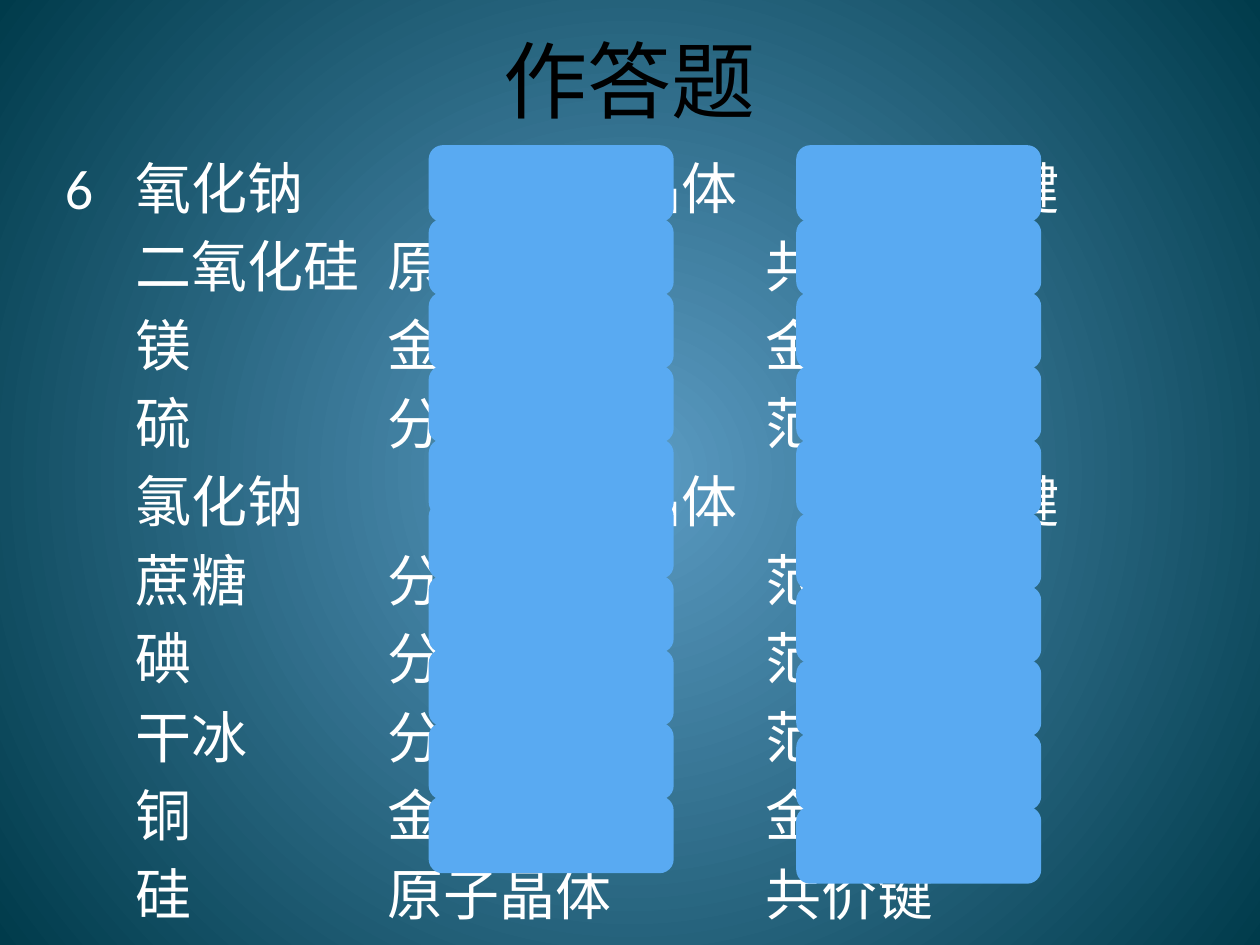
from lxml import etree
from pptx import Presentation
from pptx.dml.color import RGBColor
from pptx.enum.shapes import MSO_SHAPE
from pptx.enum.text import MSO_ANCHOR, PP_ALIGN
from pptx.oxml import parse_xml
from pptx.oxml.ns import nsdecls
from pptx.util import Emu, Pt

ROUNDED = MSO_SHAPE.ROUNDED_RECTANGLE
TOP, MIDDLE = MSO_ANCHOR.TOP, MSO_ANCHOR.MIDDLE
LEFT, CENTER = PP_ALIGN.LEFT, PP_ALIGN.CENTER

TITLE = "作答题"
QUESTION = "6 "
SUBSTANCES = [
    ("氧化钠", "离子晶体", "离子键"),
    ("二氧化硅", "原子晶体", "共价键"),
    ("镁", "金属晶体", "金属键"),
    ("硫", "分子晶体", "范德华力"),
    ("氯化钠", "离子晶体", "离子键"),
    ("蔗糖", "分子晶体", "范德华力"),
    ("碘", "分子晶体", "范德华力"),
    ("干冰", "分子晶体", "范德华力"),
    ("铜", "金属晶体", "金属键"),
    ("硅", "原子晶体", "共价键"),
]
FONT = "Calibri"
COVER = "59AAF2"
BACKGROUND = ("5C9CC4", "003B4B")
COVER_TOP, COVER_WIDTH, COVER_HEIGHT = 140, 230, 70
COVER_COLUMNS = [(410, 10), (760, 0)]
SHIFTED_FROM = 5


def px(length):
    return Emu(length * 7620)


def color(code):
    return RGBColor.from_string(code)


def add_text(page, text, at, size, ink, align=LEFT, anchor=TOP, indent=0, before=0):
    box = page.shapes.add_textbox(*map(px, at))
    frame = box.text_frame
    frame.word_wrap = True
    frame.vertical_anchor = anchor
    for index, line in enumerate(text.split("\n")):
        para = frame.paragraphs[0] if index == 0 else frame.add_paragraph()
        para.alignment = align
        if index:
            para.space_before = Pt(before)
        if indent:
            properties = para._p.get_or_add_pPr()
            properties.set("marL", str(px(indent)))
            properties.set("indent", str(-px(indent)))
            properties.set("defTabSz", str(px(120)))
        span = para.add_run()
        span.text = line
        span.font.name = FONT
        span.font.size = Pt(size)
        span.font.color.rgb = color(ink)


def paint_background(page):
    fill = page.background.fill
    fill.gradient()
    for stop, position, code in zip(fill.gradient_stops, (0, 1), BACKGROUND):
        stop.position = position
        stop.color.rgb = color(code)
    gradient = page._element.find(".//{*}gradFill")
    linear = gradient.find("{*}lin")
    circle = parse_xml(f'<a:path {nsdecls("a")} path="circle"/>')
    focus = etree.SubElement(circle, linear.tag.replace("lin", "fillToRect"))
    for side in "ltrb":
        focus.set(side, "50000")
    gradient.replace(linear, circle)


def add_cover(page, left, top):
    cover = page.shapes.add_shape(
        ROUNDED, *map(px, (left, top, COVER_WIDTH, COVER_HEIGHT)))
    cover.shadow.inherit = False
    cover.fill.solid()
    cover.fill.fore_color.rgb = color(COVER)
    cover.line.color.rgb = color(COVER)
    cover.line.width = Pt(2)


def answer_line(index, name, crystal, bond):
    number = "" if index else QUESTION
    gap = "\t" if len(name) == 4 else "\t\t"
    return f"{number}\t{name}{gap}{crystal}\t\t{bond}"


def main():
    """Build the answer slide with its cover boxes."""
    deck = Presentation()
    deck.slide_width, deck.slide_height = px(1200), px(900)
    page = deck.slides.add_slide(deck.slide_layouts[6])
    paint_background(page)
    add_text(page, TITLE, (60, 0, 1080, 150), 48, "000000",
             align=CENTER, anchor=MIDDLE)
    answers = "\n".join(answer_line(i, *row) for i, row in enumerate(SUBSTANCES))
    add_text(page, answers, (50, 140, 1090, 740), 32, "FFFFFF",
             indent=67, before=6.4)
    for row in range(len(SUBSTANCES)):
        for left, shift in COVER_COLUMNS:
            top = COVER_TOP + row * COVER_HEIGHT
            add_cover(page, left, top - shift if row >= SHIFTED_FROM else top)
    deck.save("out.pptx")


if __name__ == "__main__":
    main()
